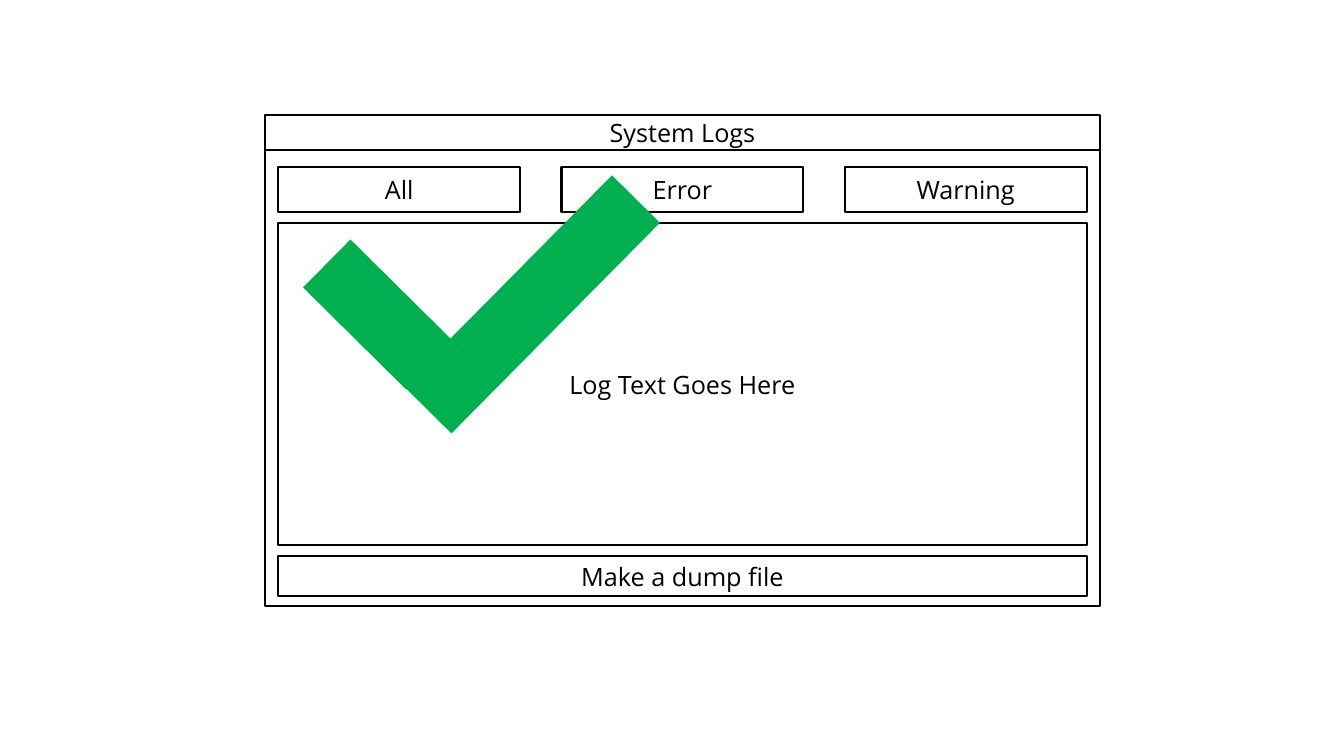
from pptx import Presentation
from pptx.dml.color import RGBColor
from pptx.enum import shapes, text
from pptx.util import Pt

BLACK = RGBColor(0x00, 0x00, 0x00)
WHITE = RGBColor(0xFF, 0xFF, 0xFF)
GREEN = RGBColor(0x00, 0xB0, 0x50)
FONT = "Open Sans"

TITLE = "System Logs"
FILTERS = ["All", "Error", "Warning"]
LOG_TEXT = "Log Text Goes Here"
DUMP_TEXT = "Make a dump file"

WINDOW_LEFT, WINDOW_TOP, WINDOW_WIDTH = 189.4, 82.1, 596.2
TITLE_HEIGHT, BODY_HEIGHT = 25.2, 325.4
MARGIN = 9.36
INNER_LEFT = WINDOW_LEFT + MARGIN
INNER_WIDTH = WINDOW_WIDTH - 2 * MARGIN
BUTTON_WIDTH = 172.8
BUTTON_STEP = (INNER_WIDTH - BUTTON_WIDTH) / (len(FILTERS) - 1)

# left, top, width, height, rotation
TICK_STROKES = [
    (246.2, 172.8, 48.2, 103.7, 314.7),
    (355.7, 111.6, 48.2, 211.7, 44.7),
]


def write(shape, words, size=18, color=BLACK):
    frame = shape.text_frame
    frame.word_wrap = True
    frame.auto_size = text.MSO_AUTO_SIZE.NONE
    frame.vertical_anchor = text.MSO_ANCHOR.MIDDLE
    para = frame.paragraphs[0]
    para.alignment = text.PP_ALIGN.CENTER
    span = para.add_run()
    span.text = words
    span.font.name = FONT
    span.font.size = Pt(size)
    span.font.color.rgb = color


def outline(shape):
    shape.fill.solid()
    shape.fill.fore_color.rgb = WHITE
    shape.line.color.rgb = BLACK
    shape.line.width = Pt(1.5)


def add_rectangle(parent, left, top, width, height):
    box = parent.add_shape(shapes.MSO_SHAPE.RECTANGLE,
                           Pt(left), Pt(top), Pt(width), Pt(height))
    box.shadow.inherit = False
    return box


def add_panel(page, left, top, width, height, words=None):
    box = add_rectangle(page.shapes, left, top, width, height)
    outline(box)
    if words:
        write(box, words)


def add_title(page):
    title = page.shapes.title
    title.left, title.top = Pt(WINDOW_LEFT), Pt(WINDOW_TOP)
    title.width, title.height = Pt(WINDOW_WIDTH), Pt(TITLE_HEIGHT)
    outline(title)
    write(title, TITLE)


def add_tick(page):
    tick = page.shapes.add_group_shape()
    for *frame, rotation in TICK_STROKES:
        stroke = add_rectangle(tick.shapes, *frame)
        stroke.rotation = rotation
        stroke.fill.solid()
        stroke.fill.fore_color.rgb = GREEN
        stroke.line.fill.background()


def main():
    deck = Presentation()
    deck.slide_width, deck.slide_height = Pt(960), Pt(540)
    page = deck.slides.add_slide(deck.slide_layouts.get_by_name("Title Only"))

    add_title(page)
    add_panel(page, WINDOW_LEFT, WINDOW_TOP + TITLE_HEIGHT, WINDOW_WIDTH, BODY_HEIGHT)
    for index, name in enumerate(FILTERS):
        add_panel(page, INNER_LEFT + index * BUTTON_STEP, 119.5, BUTTON_WIDTH, 31.7, name)
    add_panel(page, INNER_LEFT, 159.1, INNER_WIDTH, 230.4, LOG_TEXT)
    add_panel(page, INNER_LEFT, 397.4, INNER_WIDTH, 28.1, DUMP_TEXT)
    add_tick(page)
    deck.save("out.pptx")


if __name__ == "__main__":
    main()
